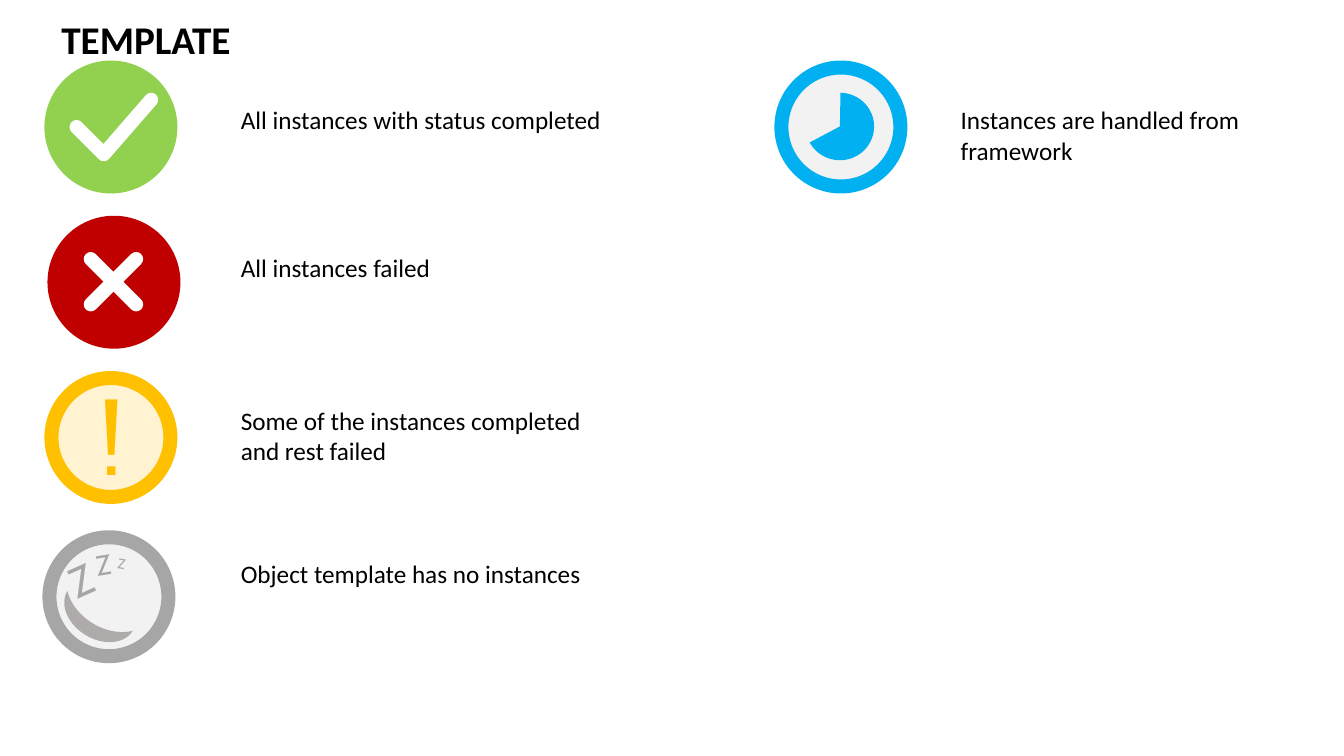
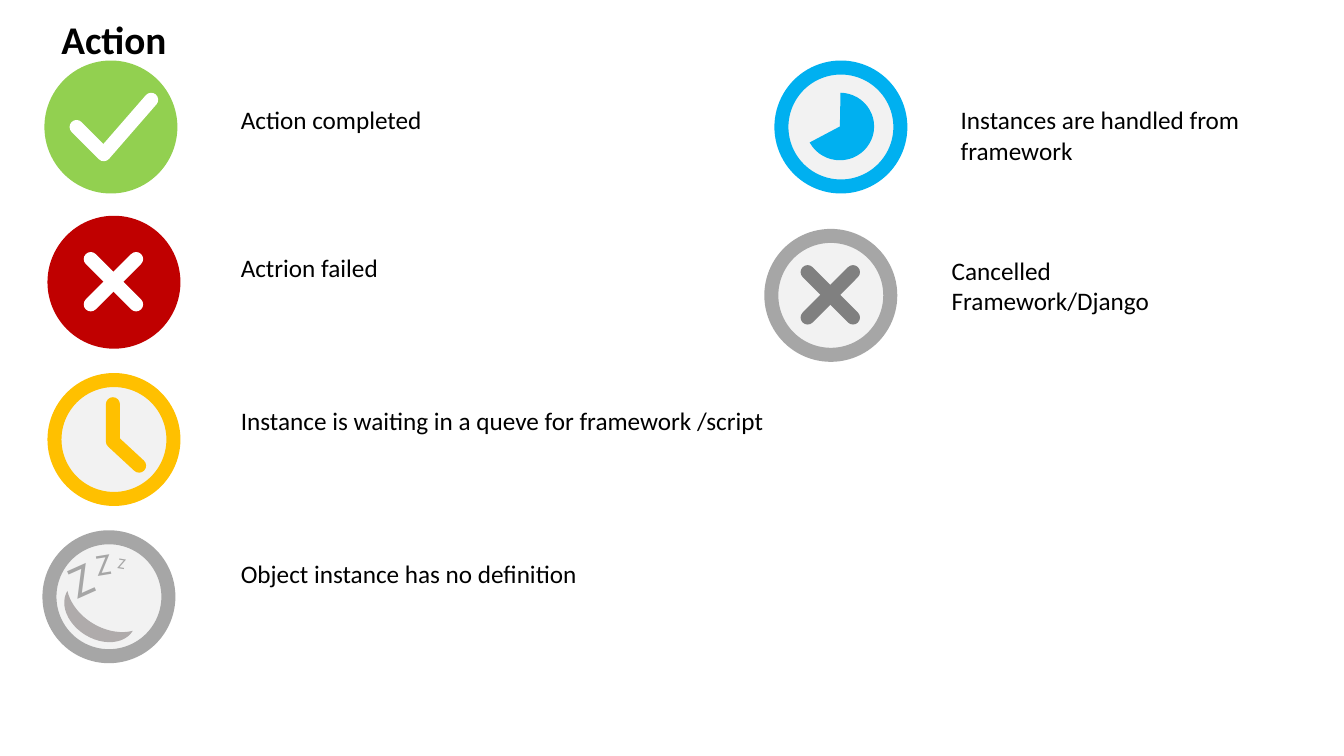
from lxml import etree
from pptx import Presentation
from pptx.dml.color import RGBColor
from pptx.enum.shapes import MSO_CONNECTOR, MSO_SHAPE
from pptx.enum.text import PP_ALIGN
from pptx.oxml.ns import qn
from pptx.util import Inches, Pt

OVAL, PIE, MOON = MSO_SHAPE.OVAL, MSO_SHAPE.PIE, MSO_SHAPE.MOON
STRAIGHT = MSO_CONNECTOR.STRAIGHT
LEFT, CENTER = PP_ALIGN.LEFT, PP_ALIGN.CENTER

COLORS = {
    "text": "000000", "white": "FFFFFF", "green": "92D050", "red": "C00000",
    "amber": "FFC000", "blue": "00B0F0", "ring_gray": "A6A6A6",
    "cross_gray": "808080", "moon": "AFABAB", "tint": "0D0D0D",
}
TEXT_FONT, ICON_FONT = "Calibri", "Cabin"
ICON_SIZE = 1.18
STROKE = Pt(10)
LABEL_LEFT = 2.29


def rgb(name):
    return RGBColor.from_string(COLORS[name])


# Shared drawing helpers
def add_text(shapes, box, text, size, color="text", font=TEXT_FONT, bold=False,
             align=LEFT, inset=None, rotation=0):
    shape = shapes.add_textbox(*map(Inches, box))
    shape.rotation = rotation
    frame = shape.text_frame
    frame.word_wrap = True
    if inset is not None:
        frame.margin_left = frame.margin_right = Inches(inset)
        frame.margin_top = frame.margin_bottom = Inches(inset)
    frame.text = text
    for paragraph in frame.paragraphs:
        paragraph.alignment = align
        for run in paragraph.runs:
            run.font.name, run.font.size, run.font.bold = font, Pt(size), bold
            run.font.color.rgb = rgb(color)


def add_filled(shapes, kind, box, color):
    shape = shapes.add_shape(kind, *map(Inches, box))
    shape.shadow.inherit = False
    shape.fill.solid()
    shape.fill.fore_color.rgb = rgb(color)
    shape.line.fill.background()
    return shape


def style_stroke(shape, color):
    shape.line.width = STROKE
    shape.line.color.rgb = rgb(color)
    line = shape.line._get_or_add_ln()
    line.set("cap", "rnd")
    etree.SubElement(line, qn("a:round"))


def add_disc(shapes, left, top, ring, fill="tint", opacity=5):
    disc = add_filled(shapes, OVAL, (left, top, ICON_SIZE, ICON_SIZE), fill)
    disc.line.width = STROKE
    disc.line.color.rgb = rgb(ring)
    if opacity < 100:
        color = disc._element.spPr.find(qn("a:solidFill"))[0]
        etree.SubElement(color, qn("a:alpha"), val=str(opacity * 1000))


def add_polyline(shapes, left, top, points, color):
    points = [(Inches(left + x), Inches(top + y)) for x, y in points]
    builder = shapes.build_freeform(*points[0])
    builder.add_line_segments(points[1:], close=False)
    shape = builder.convert_to_shape()
    shape.shadow.inherit = False
    shape.fill.background()
    style_stroke(shape, color)


def add_cross(shapes, left, top, color):
    near, far = 0.36, 0.81
    for start, end in ((near, far), (far, near)):
        line = shapes.add_connector(
            STRAIGHT, Inches(left + near), Inches(top + start),
            Inches(left + far), Inches(top + end))
        style_stroke(line, color)
        etree.SubElement(line._element.spPr, qn("a:effectLst"))


# Status icons, each placed from its left top corner
def completed_icon(shapes, left, top):
    add_disc(shapes, left, top, "green", "green", 100)
    add_polyline(shapes, left, top, [(0.25, 0.59), (0.52, 0.86), (0.99, 0.32)], "white")


def failed_icon(shapes, left, top):
    add_disc(shapes, left, top, "red", "red", 100)
    add_cross(shapes, left, top, "white")


def cancelled_icon(shapes, left, top):
    add_disc(shapes, left, top, "ring_gray")
    add_cross(shapes, left, top, "cross_gray")


def warning_icon(shapes, left, top):
    add_disc(shapes, left, top, "amber", "amber", 18)
    add_text(shapes, (left + 0.39, top - 0.03, 0.41, 1.21), "!", 72, "amber",
             ICON_FONT, align=CENTER, inset=0)


def waiting_icon(shapes, left, top):
    add_disc(shapes, left, top, "amber")
    add_polyline(shapes, left, top, [(0.58, 0.24), (0.58, 0.61), (0.84, 0.85)], "amber")


def running_icon(shapes, left, top):
    add_disc(shapes, left, top, "blue")
    pie = add_filled(shapes, PIE, (left + 0.24, top + 0.25, 0.68, 0.67), "blue")
    pie.adjustments[0], pie.adjustments[1] = 162.666, 91.223


def idle_icon(shapes, left, top):
    add_disc(shapes, left, top, "ring_gray")
    for x, y, height, size, rotation, inset in (
            (0.18, 0.09, 0.5, 30, 335.8, 0),
            (0.36, 0.03, 0.44, 20, 350.8, None),
            (0.58, 0.16, 0.27, 10, 9.2, None)):
        add_text(shapes, (left + x, top + y, 0.62, height), "Z", size, "ring_gray",
                 ICON_FONT, inset=inset, rotation=rotation)
    moon = add_filled(shapes, MOON, (left + 0.29, top + 0.47, 0.28, 0.76), "moon")
    moon.adjustments[0] = 0.487
    moon.rotation = 301.4


# Legend entries: icon, icon position, label box, label
def completed(label):
    return completed_icon, (0.51, 0.67), (LABEL_LEFT, 0.99, 5.09, 0.4), label


def failed(label):
    return failed_icon, (0.54, 2.21), (LABEL_LEFT, 2.45, 3.77, 0.4), label


def idle(label):
    return idle_icon, (0.49, 5.33), (LABEL_LEFT, 5.49, 4.28, 0.4), label


RUNNING = (running_icon, (7.75, 0.67), (9.43, 0.99, 3.77, 0.71),
           "Instances are handled from framework")

LEGENDS = {
    "TEMPLATE": [
        completed("All instances with status completed"),
        failed("All instances failed"),
        (warning_icon, (0.51, 3.75), (LABEL_LEFT, 3.97, 3.77, 0.71),
         "Some of the instances completed and rest failed"),
        idle("Object template has no instances"),
        RUNNING,
    ],
    "Action": [
        completed("Action completed"),
        failed("Actrion failed"),
        (waiting_icon, (0.54, 3.77), (LABEL_LEFT, 3.97, 5.95, 0.4),
         "Instance is waiting in a queve for framework /script"),
        idle("Object instance has no definition"),
        RUNNING,
        (cancelled_icon, (7.65, 2.34), (9.34, 2.48, 3.35, 1.01),
         "Cancelled\nFramework/Django"),
    ],
}


def add_legend_slide(presentation, title, entries):
    slide = presentation.slides.add_slide(presentation.slide_layouts[6])
    add_text(slide.shapes, (0.51, 0.1, 4.85, 0.57), title, 28, bold=True)
    for draw_icon, position, label_box, label in entries:
        draw_icon(slide.shapes.add_group_shape().shapes, *position)
        add_text(slide.shapes, label_box, label, 18)


def main():
    presentation = Presentation()
    presentation.slide_width, presentation.slide_height = Inches(13.33), Inches(7.5)
    for title, entries in LEGENDS.items():
        add_legend_slide(presentation, title, entries)
    presentation.save("out.pptx")


if __name__ == "__main__":
    main()
